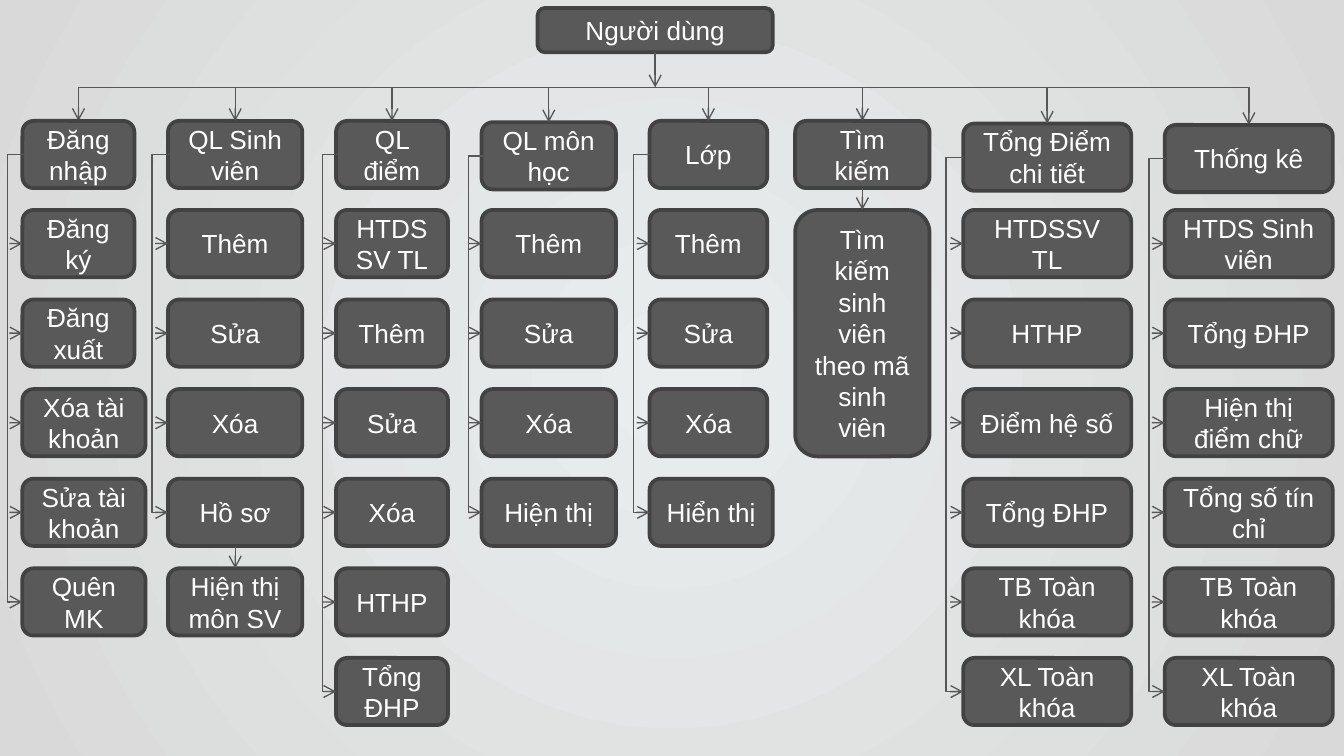
import pptx
import pptx.dml.color
import pptx.enum.shapes
import pptx.enum.text
import pptx.oxml.ns
import pptx.util
from lxml import etree
from pptx.util import Inches

COLORS = {"box": "595959", "border": "424242", "line": "575757", "text": "FFFFFF",
          "center": "E9EDEE", "edge": "D9D9D9"}
FONT = "Arial"
GRID = 1 / 12
BOX_HEIGHT = 0.5
FIRST_ROW = 25 / 16
ROW_PITCH = 8 * GRID
BUS_TOP = 0.65
WIDE = 11 * GRID

COLUMNS = [
    (2 * GRID, 0.9, 10 * GRID, 0.11, "Đăng nhập",
     ["Đăng ký", "Đăng xuất", ("Xóa tài khoản", WIDE), ("Sửa tài khoản", WIDE), ("Quên\nMK", WIDE)], 5),
    (15 * GRID, 0.9, 12 * GRID, 0.12, "QL Sinh viên",
     ["Thêm", "Sửa", "Xóa", "Hồ sơ", "Hiện thị môn SV"], 4),
    (30 * GRID, 0.9, 10 * GRID, 0.1, "QL điểm",
     ["HTDSSV TL", "Thêm", "Sửa", "Xóa", "HTHP", "Tổng ĐHP"], 6),
    (43 * GRID, 0.91, 12 * GRID, 0.1, "QL môn học", ["Thêm", "Sửa", "Xóa", "Hiện thị"], 4),
    (58 * GRID, 0.9, 10.5 * GRID, 0.12, "Lớp", ["Thêm", "Sửa", "Xóa", ("Hiển thị", WIDE)], 4),
    (71 * GRID, 0.9, 12 * GRID, 0.12, "Tìm kiếm", ["Tìm kiếm sinh viên theo mã sinh viên"], 0),
    (86 * GRID, 0.92, 15 * GRID, 0.13, "Tổng Điểm chi tiết",
     ["HTDSSV TL", "HTHP", "Điểm hệ số", "Tổng ĐHP", "TB Toàn khóa", "XL Toàn khóa"], 6),
    (104 * GRID, 0.93, 15 * GRID, 0.12, "Thống kê",
     ["HTDS Sinh viên", "Tổng ĐHP", "Hiện thị điểm chữ", "Tổng số tín chỉ", "TB Toàn khóa",
      "XL Toàn khóa"], 6),
]


def rgb(name):
    """Return the named colour."""
    return pptx.dml.color.RGBColor.from_string(COLORS[name])


def add_background(slide):
    """Fill the background with a gradient spreading from the centre."""
    fill = slide.background.fill
    fill.gradient()
    for stop, name in zip(fill.gradient_stops, ("center", "edge")):
        stop.color.rgb = rgb(name)
    gradient = slide.element.find(".//" + pptx.oxml.ns.qn("a:gradFill"))
    linear = gradient.find(pptx.oxml.ns.qn("a:lin"))
    circle = etree.Element(pptx.oxml.ns.qn("a:path"), path="circle")
    etree.SubElement(circle, pptx.oxml.ns.qn("a:fillToRect"),
                     l="50000", t="50000", r="50000", b="50000")
    gradient.replace(linear, circle)


def add_box(slide, text, left, top, width, height=BOX_HEIGHT):
    """Add a rounded box with centred text."""
    shape = slide.shapes.add_shape(pptx.enum.shapes.MSO_SHAPE.ROUNDED_RECTANGLE,
                                   Inches(left), Inches(top), Inches(width), Inches(height))
    shape.shadow.inherit = False
    shape.fill.solid()
    shape.fill.fore_color.rgb = rgb("box")
    shape.line.color.rgb = rgb("border")
    shape.line.width = pptx.util.Pt(2)
    frame = shape.text_frame
    frame.word_wrap = True
    frame.vertical_anchor = pptx.enum.text.MSO_ANCHOR.MIDDLE
    frame.text = text
    for paragraph in frame.paragraphs:
        paragraph.alignment = pptx.enum.text.PP_ALIGN.CENTER
        paragraph.font.name = FONT
        paragraph.font.size = pptx.util.Pt(14)
        paragraph.font.color.rgb = rgb("text")


def add_arrow(slide, start, end, bend=None, both_ends=False):
    """Add an arrow, bent at the given multiple of its width if there is one."""
    kinds = pptx.enum.shapes.MSO_CONNECTOR
    kind = kinds.STRAIGHT if bend is None else kinds.ELBOW
    connector = slide.shapes.add_connector(kind, *(Inches(value) for value in (*start, *end)))
    connector.line.color.rgb = rgb("line")
    connector.line.width = pptx.util.Pt(0.75)
    properties = connector.element.spPr
    line = properties.find(pptx.oxml.ns.qn("a:ln"))
    for name in ("a:headEnd", "a:tailEnd") if both_ends else ("a:tailEnd",):
        etree.SubElement(line, pptx.oxml.ns.qn(name), type="arrow")
    etree.SubElement(properties, pptx.oxml.ns.qn("a:effectLst"))
    if bend is not None:
        guides = properties.find(".//" + pptx.oxml.ns.qn("a:avLst"))
        etree.SubElement(guides, pptx.oxml.ns.qn("a:gd"), name="adj1",
                         fmla=f"val {round(bend * 100000)}")
    return connector


def add_root(slide, left, top, width, height):
    """Add the top box and the bus that spans all columns."""
    add_box(slide, "Người dùng", left, top, width, height)
    middle = left + width / 2
    add_arrow(slide, (middle, top + height), (middle, BUS_TOP))
    first_x, last_x = (column[0] + column[2] / 2 for column in (COLUMNS[0], COLUMNS[-1]))
    first_y, last_y = COLUMNS[0][1], COLUMNS[-1][1]
    center_x, center_y = (first_x + last_x) / 2, (first_y + last_y) / 2
    drop, half_span = last_y - first_y, (last_x - first_x) / 2
    bus = add_arrow(slide, (center_x + drop / 2, center_y - half_span),
                    (center_x - drop / 2, center_y + half_span),
                    bend=(BUS_TOP - first_y) / drop, both_ends=True)
    bus.element.spPr.xfrm.set("rot", "16200000")


def add_column(slide, left, top, width, gutter, title, children, bracketed):
    """Add a heading, its child boxes and the arrows that join them."""
    middle = left + width / 2
    add_box(slide, title, left, top, width)
    for row, child in enumerate(children):
        text, child_width = child if isinstance(child, tuple) else (child, width)
        child_top = FIRST_ROW + row * ROW_PITCH
        child_middle = child_top + BOX_HEIGHT / 2
        height = BOX_HEIGHT if bracketed else 22 * GRID
        add_box(slide, text, left, child_top, child_width, height)
        if row < bracketed - 1:
            add_arrow(slide, (left - GRID, child_middle), (left, child_middle))
        elif row == bracketed - 1:
            offset = 0.01
            add_arrow(slide, (left + offset, top + BOX_HEIGHT / 2), (left, child_middle),
                      bend=(gutter + offset) / offset)
        else:
            above = child_top - ROW_PITCH if row else top
            add_arrow(slide, (middle, above + BOX_HEIGHT), (middle, child_top))


def main():
    """Build the slide and save it."""
    presentation = pptx.Presentation()
    presentation.slide_width = Inches(10)
    presentation.slide_height = Inches(10 * 9 / 16)
    slide = presentation.slides.add_slide(presentation.slide_layouts[6])
    add_background(slide)
    add_root(slide, 4, 0.06, 1.75, 0.33)
    for column in COLUMNS:
        add_column(slide, *column)
    for left, top, width, *_ in COLUMNS[1:-1]:
        middle = left + width / 2
        add_arrow(slide, (middle, BUS_TOP), (middle, top))
    presentation.save("out.pptx")


if __name__ == "__main__":
    main()
